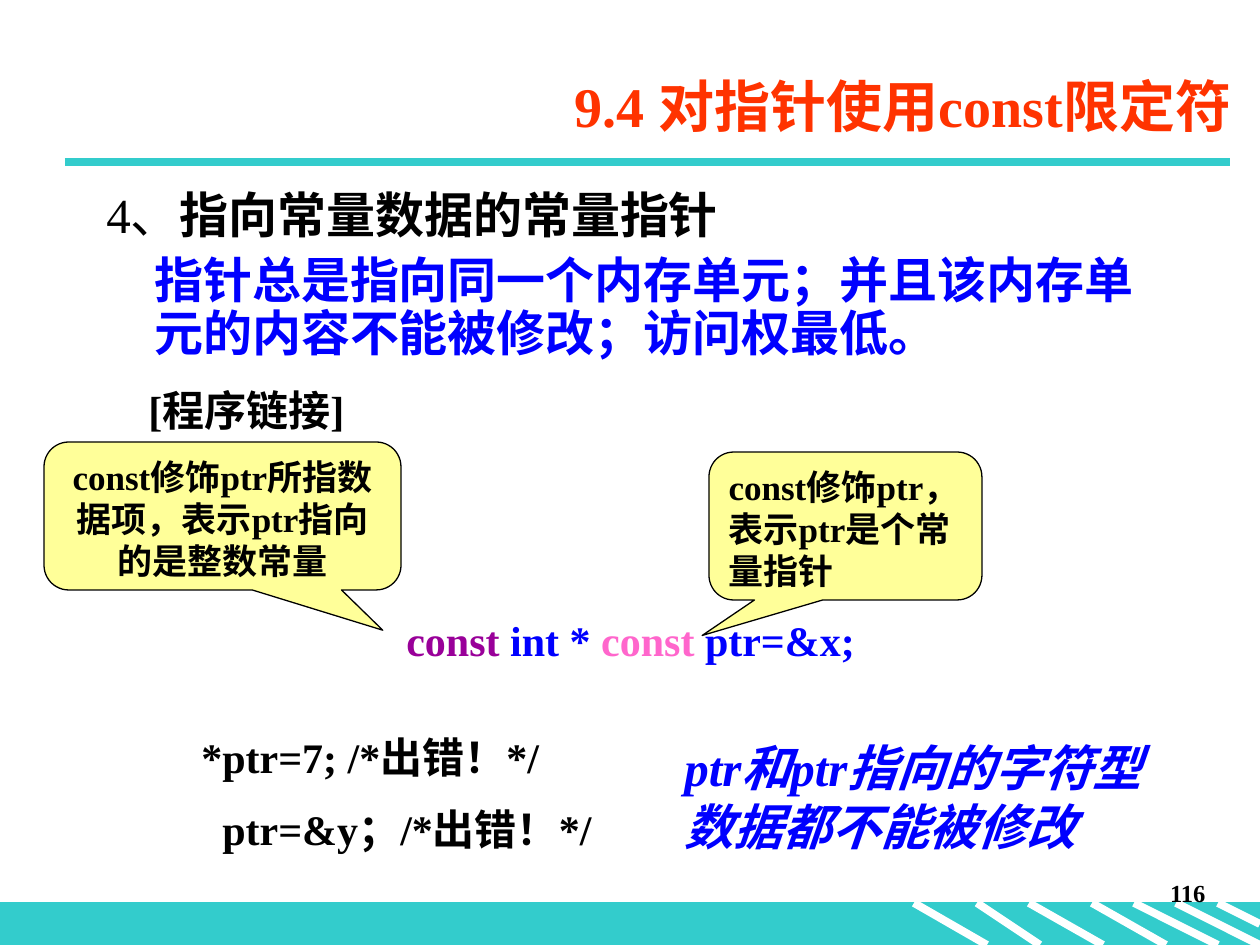
from lxml.etree import SubElement
from pptx import Presentation
from pptx.dml.color import RGBColor
from pptx.enum.shapes import MSO_CONNECTOR, MSO_SHAPE
from pptx.enum.text import MSO_ANCHOR, PP_ALIGN
from pptx.oxml.ns import qn
from pptx.util import Pt

PX = 914400 // 126
FONT = "Times New Roman"
COLORS = {
    "teal": "33CCCC", "white": "FFFFFF", "black": "000000", "blue": "0000FF",
    "orange": "FF3300", "yellow": "FFFF99", "purple": "990099", "pink": "FF66CC",
}


def color(name):
    return RGBColor.from_string(COLORS[name])


def write(shape, paragraphs, size, align=PP_ALIGN.LEFT, anchor=MSO_ANCHOR.TOP, italic=False):
    """Fill a shape with paragraphs, each a list of (text, colour) runs."""
    text_frame = shape.text_frame
    text_frame.word_wrap = True
    text_frame.vertical_anchor = anchor
    for index, runs in enumerate(paragraphs):
        paragraph = text_frame.paragraphs[0] if index == 0 else text_frame.add_paragraph()
        paragraph.alignment = align
        for text, color_name in runs:
            run = paragraph.add_run()
            run.text = text
            run.font.name = FONT
            run.font.size = Pt(size)
            run.font.bold = True
            run.font.italic = italic
            run.font.color.rgb = color(color_name)
    return text_frame.paragraphs


presentation = Presentation()
presentation.slide_width = 1260 * PX
presentation.slide_height = 945 * PX
slide = presentation.slides.add_slide(presentation.slide_layouts[6])
shapes = slide.shapes

# Footer band, its white stripes and the rule under the title
band = shapes.add_shape(MSO_SHAPE.RECTANGLE, 0, 903 * PX, 1260 * PX, 42 * PX)
band.shadow.inherit = False
band.fill.solid()
band.fill.fore_color.rgb = color("teal")
band.line.color.rgb = color("teal")
band.line.width = Pt(0.75)

lines = [
    (914, 903, 987, 945, "white"),
    (977, 903, 1040, 945, "white"),
    (1029, 903, 1103, 945, "white"),
    (1092, 903, 1166, 945, "white"),
    (1134, 903, 1218, 945, "white"),
    (1176, 903, 1260, 945, "white"),
    (1218, 903, 1260, 924, "white"),
    (65, 162, 1230, 162, "teal"),
]
for x1, y1, x2, y2, color_name in lines:
    line = shapes.add_connector(MSO_CONNECTOR.STRAIGHT, x1 * PX, y1 * PX, x2 * PX, y2 * PX)
    line.line.color.rgb = color(color_name)
    line.line.width = Pt(4.5)
    SubElement(line._element.spPr, qn("a:effectLst"))

page_number = shapes.add_textbox(955 * PX, 872 * PX, 263 * PX, 63 * PX)
write(page_number, [[("116", "black")]], 14, PP_ALIGN.RIGHT)

title = shapes.add_textbox(174 * PX, 55 * PX, 1070 * PX, 100 * PX)
write(title, [[("9.4 对指针使用const限定符", "orange")]], 32, PP_ALIGN.RIGHT, MSO_ANCHOR.MIDDLE)

# Heading, explanation and link label
body = shapes.add_textbox(94 * PX, 185 * PX, 1071 * PX, 260 * PX)
heading, explanation, link = write(body, [
    [("4、", "black"), ("指向常量数据的常量指针", "black")],
    [("指针总是指向同一个内存单元；并且该内存单元的内容不能被修改；访问权最低。", "blue")],
    [("[程序链接]", "black")],
], 28)
heading.runs[0].font.bold = False
link.runs[0].font.size = Pt(24)
for paragraph, indent, space in ((heading, 0, 0), (explanation, 48, 7), (link, 42, 16)):
    paragraph.line_spacing = 0.9
    paragraph.space_before = Pt(space)
    paragraph._p.get_or_add_pPr().set("marL", str(indent * PX))

declaration = shapes.add_textbox(394 * PX, 608 * PX, 600 * PX, 60 * PX)
write(declaration, [[
    ("const", "purple"), (" int * ", "blue"), ("const ", "pink"), ("ptr=&x;", "blue"),
]], 24)

callouts = [
    (709, 452, 273, 148, (-0.525, 0.74, 0.167), PP_ALIGN.LEFT,
     "const修饰ptr，表示ptr是个常量指针"),
    (44, 442, 357, 148, (0.449, 0.772, 0.167), PP_ALIGN.CENTER,
     "const修饰ptr所指数据项，表示ptr指向的是整数常量"),
]
for left, top, width, height, adjustments, align, text in callouts:
    callout = shapes.add_shape(
        MSO_SHAPE.ROUNDED_RECTANGULAR_CALLOUT, left * PX, top * PX, width * PX, height * PX)
    callout.shadow.inherit = False
    callout.fill.solid()
    callout.fill.fore_color.rgb = color("yellow")
    callout.line.color.rgb = color("black")
    callout.line.width = Pt(0.75)
    for index, value in enumerate(adjustments):
        callout.adjustments[index] = value
    write(callout, [[(text, "black")]], 20, align)

# Statements that fail, and the conclusion
errors = shapes.add_textbox(189 * PX, 731 * PX, 630 * PX, 130 * PX)
first_error, second_error = write(errors, [
    [("*ptr=7; /*出错！*/", "black")],
    [("ptr=&y；/*出错！*/", "black")],
], 24)
first_error.line_spacing = second_error.line_spacing = 0.9
second_error.space_before = Pt(15)
second_error._p.get_or_add_pPr().set("marL", str(21 * PX))

conclusion = shapes.add_textbox(672 * PX, 731 * PX, 494 * PX, 131 * PX)
write(conclusion, [[("ptr和ptr指向的字符型数据都不能被修改", "blue")]], 28, italic=True)

presentation.save("out.pptx")
